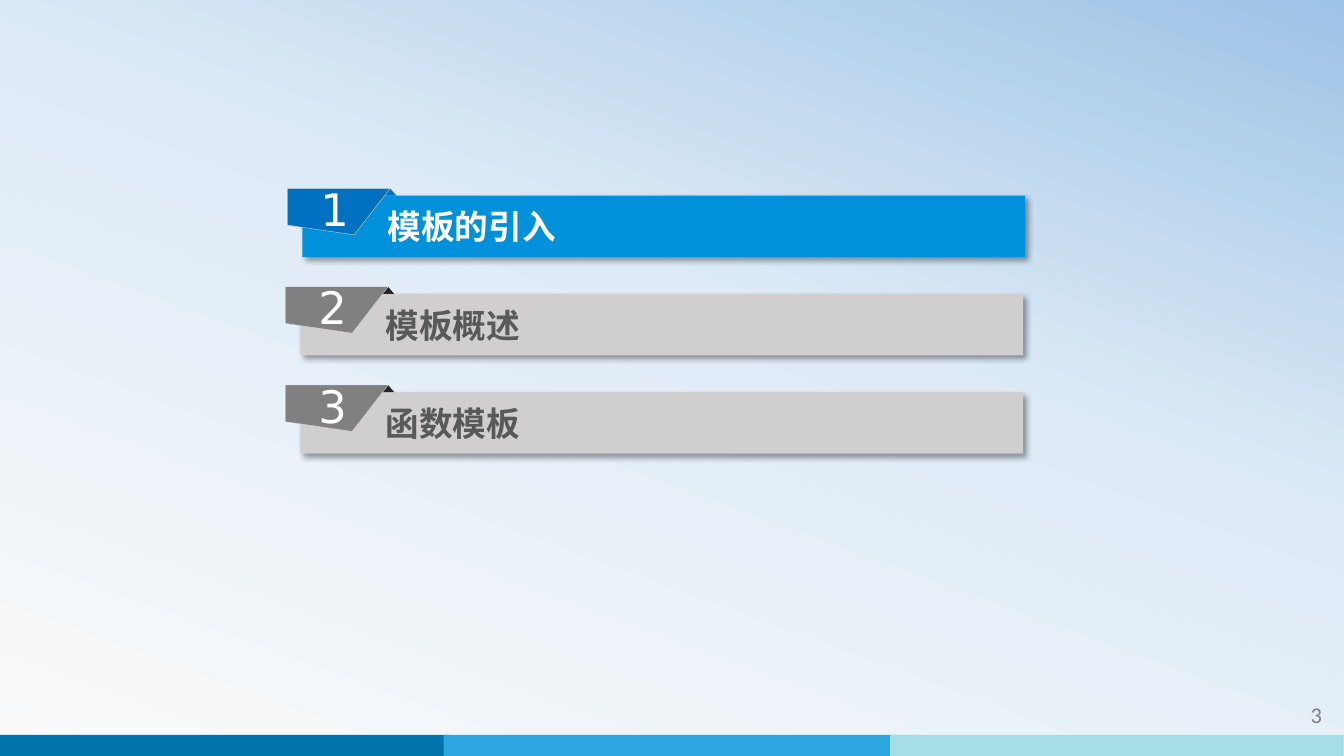
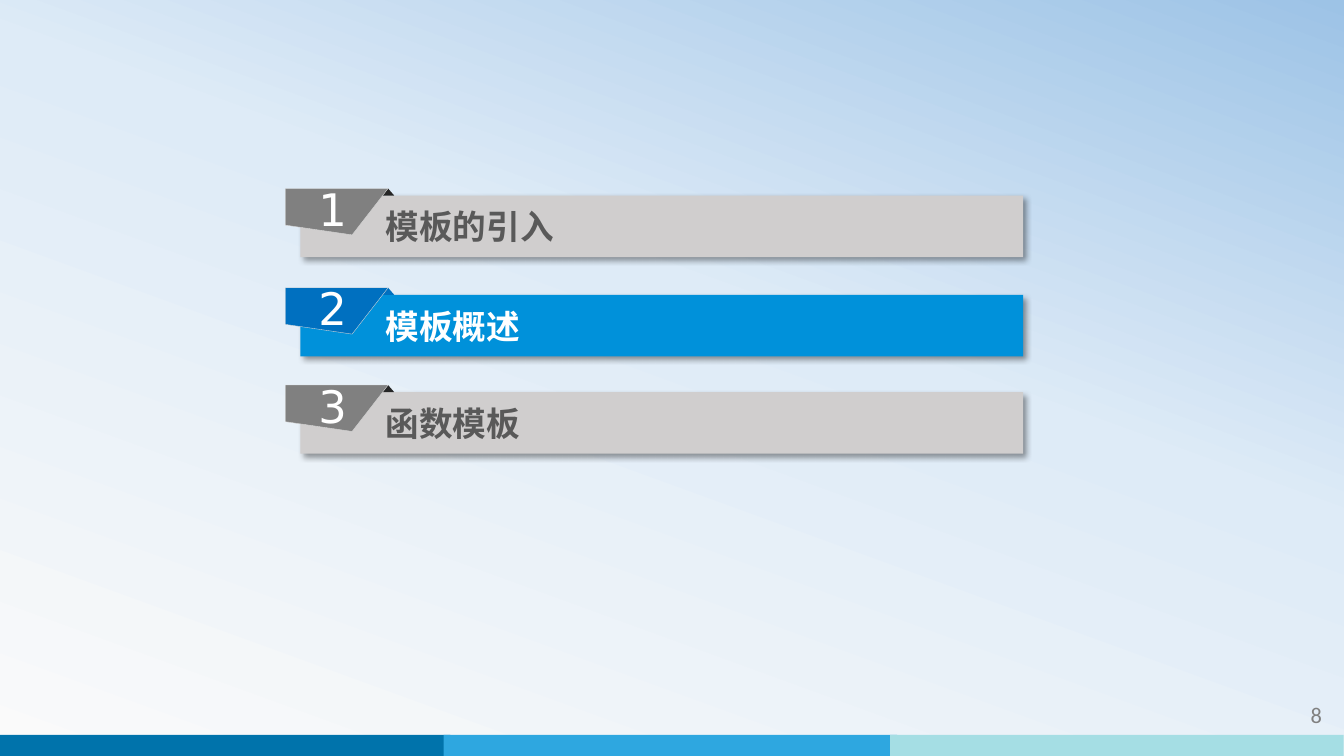
from lxml.etree import SubElement
from pptx import Presentation
from pptx.dml.color import RGBColor
from pptx.enum.shapes import MSO_SHAPE
from pptx.enum.text import MSO_ANCHOR, PP_ALIGN
from pptx.oxml.ns import qn
from pptx.util import Inches, Pt

# Slide size and colours
WIDE, HIGH = Inches(13.33), Inches(7.5)
WHITE = RGBColor(0xFF, 0xFF, 0xFF)
GREY = RGBColor(0x80, 0x80, 0x80)
EDGE = RGBColor(0xD9, 0xD9, 0xD9)
BANDS = [RGBColor(0x00, 0x73, 0xAB), RGBColor(0x2E, 0xA7, 0xE0),
         RGBColor(0xA5, 0xDE, 0xE4)]
SKY = [(0, "FAFAFA"), (58, "DEEBF7"), (100, "9DC3E6")]
BLUE = RGBColor(0x00, 0x70, 0xC0)
LIVE = {"bar": RGBColor(0x00, 0x91, 0xDA), "tab": BLUE,
        "fold": BLUE, "ink": WHITE}
IDLE = {"bar": RGBColor(0xD0, 0xCE, 0xCE), "tab": GREY,
        "fold": RGBColor(0x26, 0x26, 0x26),
        "ink": RGBColor(0x59, 0x59, 0x59)}

# Text styles
TOPIC = {"name": "Noto Sans CJK SC", "size": Pt(24), "bold": True}
DIGIT = {"name": "DejaVu Sans", "size": Pt(32)}
PAGE = {"name": "Calibri", "size": Pt(16)}

# Agenda grid, in percent of the slide
LEFT, TOP, STEP = 22.35, 25.87, 13
TAB_W, TAB_H = 7.65, 6.13
TAB = [(0, 0), (1, 0), (0.65, 1), (0, 0.79)]

TOPICS = ["模板的引入", "模板概述", "函数模板"]
# Page number, live row, shift of the live row
SLIDES = [(3, 0, (0.15, 0)), (8, 1, (0, 0.13))]


def across(share):
    return round(WIDE * share / 100)


def down(share):
    return round(HIGH * share / 100)


def place(x, y, w, h):
    return across(x), down(y), across(w), down(h)


def assign(item, values):
    for key, value in values.items():
        setattr(item, key, value)


def paint(shape, color):
    shape.shadow.inherit = False
    shape.fill.solid()
    shape.fill.fore_color.rgb = color
    shape.line.fill.background()


def add_block(shapes, kind, box, color):
    shape = shapes.add_shape(kind, *place(*box))
    paint(shape, color)
    return shape


def write(shape, text, style, color, align, frame):
    assign(shape.text_frame, {"word_wrap": True, **frame})
    para = shape.text_frame.paragraphs[0]
    para.alignment = align
    run = para.add_run()
    run.text = text
    assign(run.font, style)
    run.font.color.rgb = color
    SubElement(run.font._element, qn("a:ea"), typeface=style["name"])


def cast(shape):
    effects = shape.element.spPr.find(qn("a:effectLst"))
    outer = SubElement(effects, qn("a:outerShdw"), blurRad=str(Pt(4)),
                       dist=str(Pt(3)), dir="2700000", algn="tl",
                       rotWithShape="0")
    black = SubElement(outer, qn("a:srgbClr"), val="000000")
    SubElement(black, qn("a:alpha"), val="40000")


def set_sky(master):
    fill = master.background.fill
    fill.gradient()
    fill.gradient_angle = 70
    stops = next(master.element.iter(qn("a:gsLst")))
    for old in list(stops):
        stops.remove(old)
    for share, color in SKY:
        stop = SubElement(stops, qn("a:gs"), pos=str(share * 1000))
        SubElement(stop, qn("a:srgbClr"), val=color)


def set_bands(master, slide):
    # Bands are made on a slide, then moved to the master
    for col, color in enumerate(BANDS):
        box = (-0.23 + col * 33.23, 97.2, 33.75, 2.8)
        band = add_block(slide.shapes, MSO_SHAPE.RECTANGLE, box, color)
        master.element.cSld.spTree.append(band.element)


def add_page(slide, number):
    box = slide.shapes.add_textbox(*place(87.17, 92.13, 11.93, 5.33))
    write(box, str(number), PAGE, GREY, PP_ALIGN.RIGHT, {})


def add_tab(shapes, x, y, number, color):
    points = [(across(x + TAB_W * u), down(y + TAB_H * v)) for u, v in TAB]
    pen = shapes.build_freeform(*points[0])
    pen.add_line_segments(points[1:], close=True)
    tab = pen.convert_to_shape()
    paint(tab, color)
    tab.line.color.rgb = EDGE
    tab.line.width = Pt(0.25)
    write(tab, str(number), DIGIT, WHITE, PP_ALIGN.CENTER,
          {"vertical_anchor": MSO_ANCHOR.MIDDLE,
           "margin_left": Inches(0.09), "margin_top": Inches(0.04),
           "margin_right": Inches(0.17), "margin_bottom": Inches(0.1)})


def add_topic(slide, row, text, look, shift):
    x, y = LEFT + shift[0], TOP + row * STEP + shift[1]
    shapes = slide.shapes.add_group_shape().shapes
    bar = add_block(shapes, MSO_SHAPE.RECTANGLE, (x, y, 53.78, 8.13),
                    look["bar"])
    cast(bar)
    write(bar, text, TOPIC, look["ink"], PP_ALIGN.LEFT,
          {"vertical_anchor": MSO_ANCHOR.MIDDLE,
           "margin_left": across(6.35)})
    add_block(shapes, MSO_SHAPE.ISOSCELES_TRIANGLE,
              (x + 6.08, y - 0.93, 0.9, 0.93), look["fold"])
    add_tab(shapes, x - 1.12, y - 0.93, row + 1, look["tab"])


def main():
    deck = Presentation()
    assign(deck, {"slide_width": WIDE, "slide_height": HIGH})
    blank = deck.slide_layouts[6]
    set_sky(deck.slide_master)
    for number, live, shift in SLIDES:
        slide = deck.slides.add_slide(blank)
        if len(deck.slides) == 1:
            set_bands(deck.slide_master, slide)
        add_page(slide, number)
        for row, text in enumerate(TOPICS):
            if row == live:
                add_topic(slide, row, text, LIVE, shift)
            else:
                add_topic(slide, row, text, IDLE, (0, 0))
    deck.save("out.pptx")


main()
